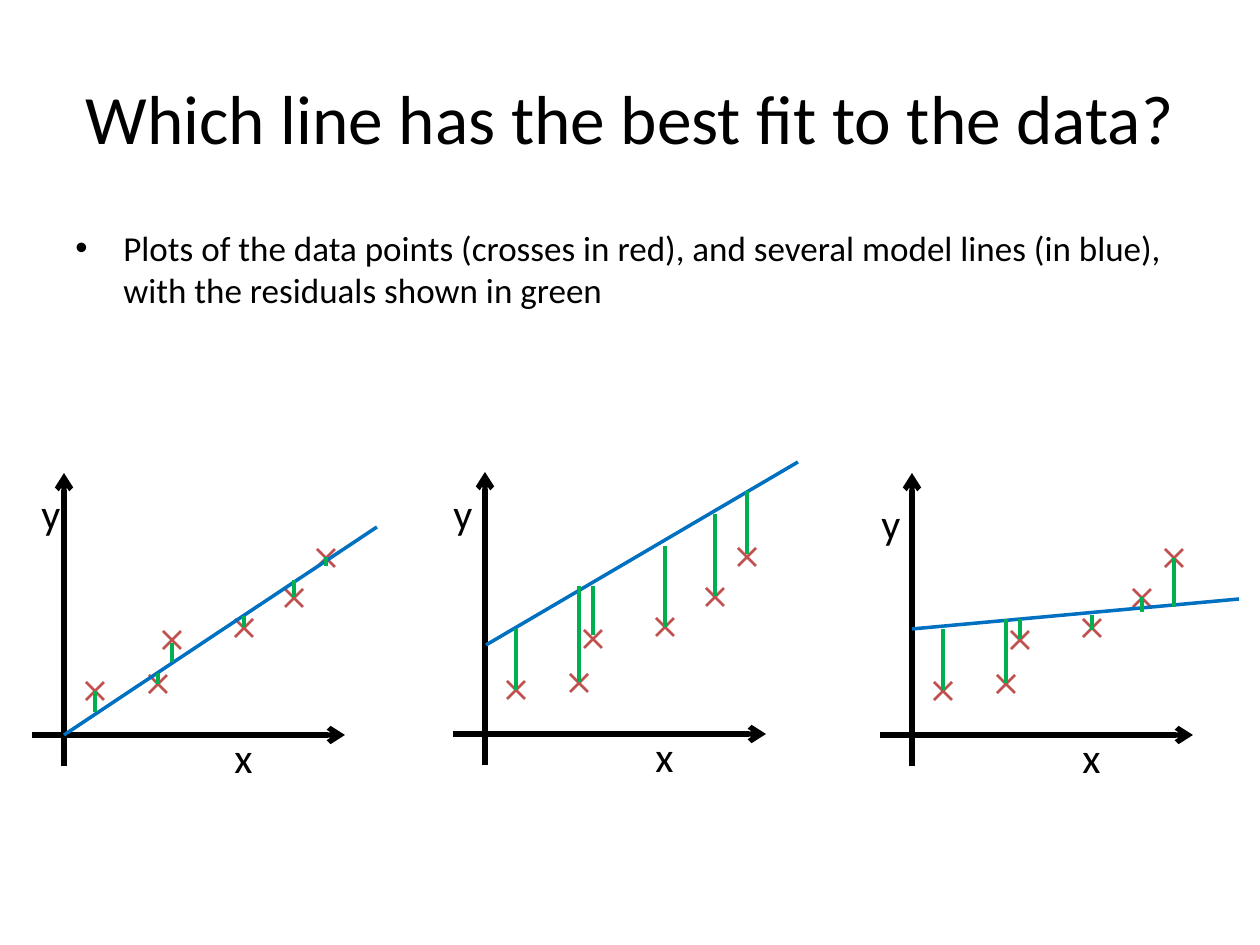
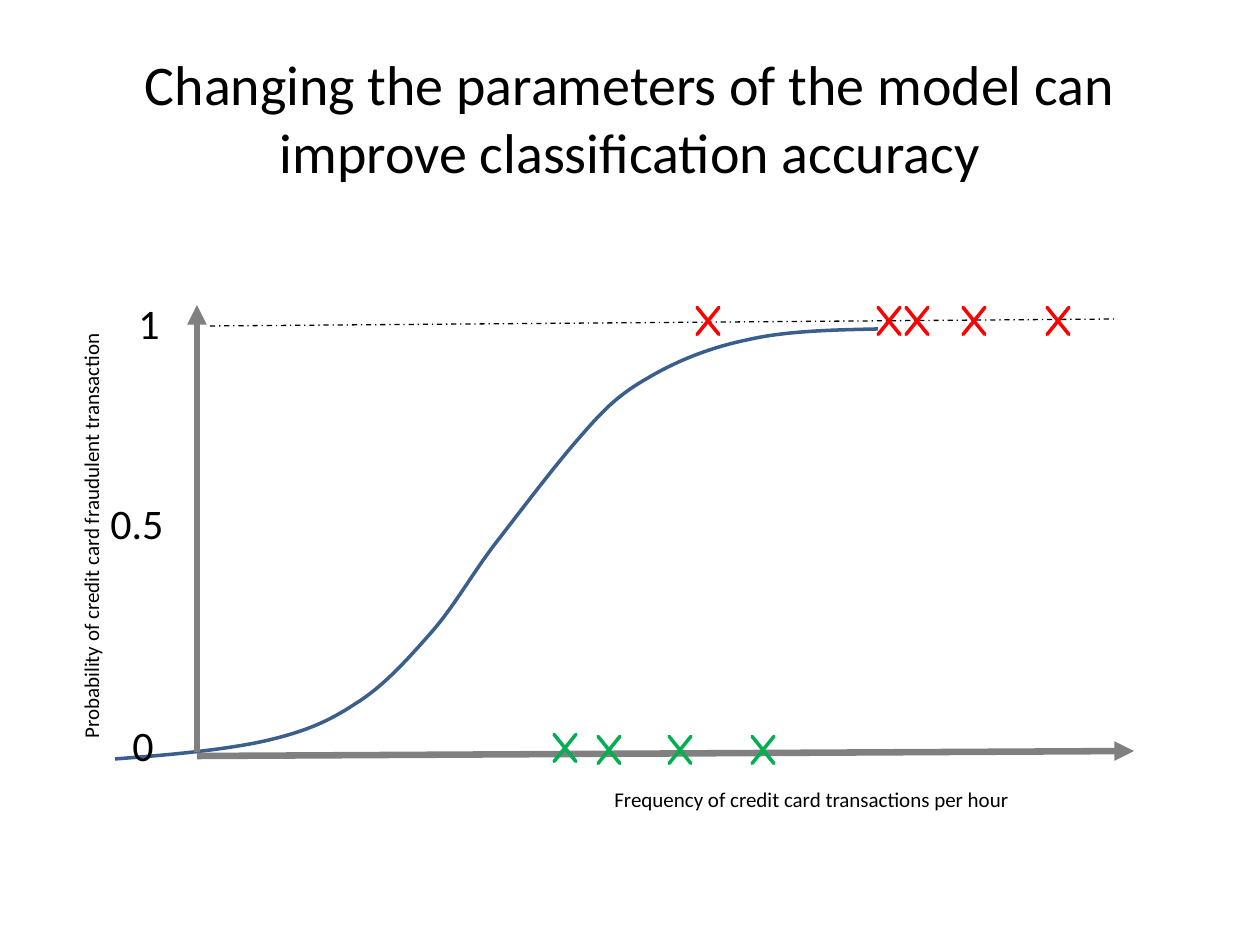
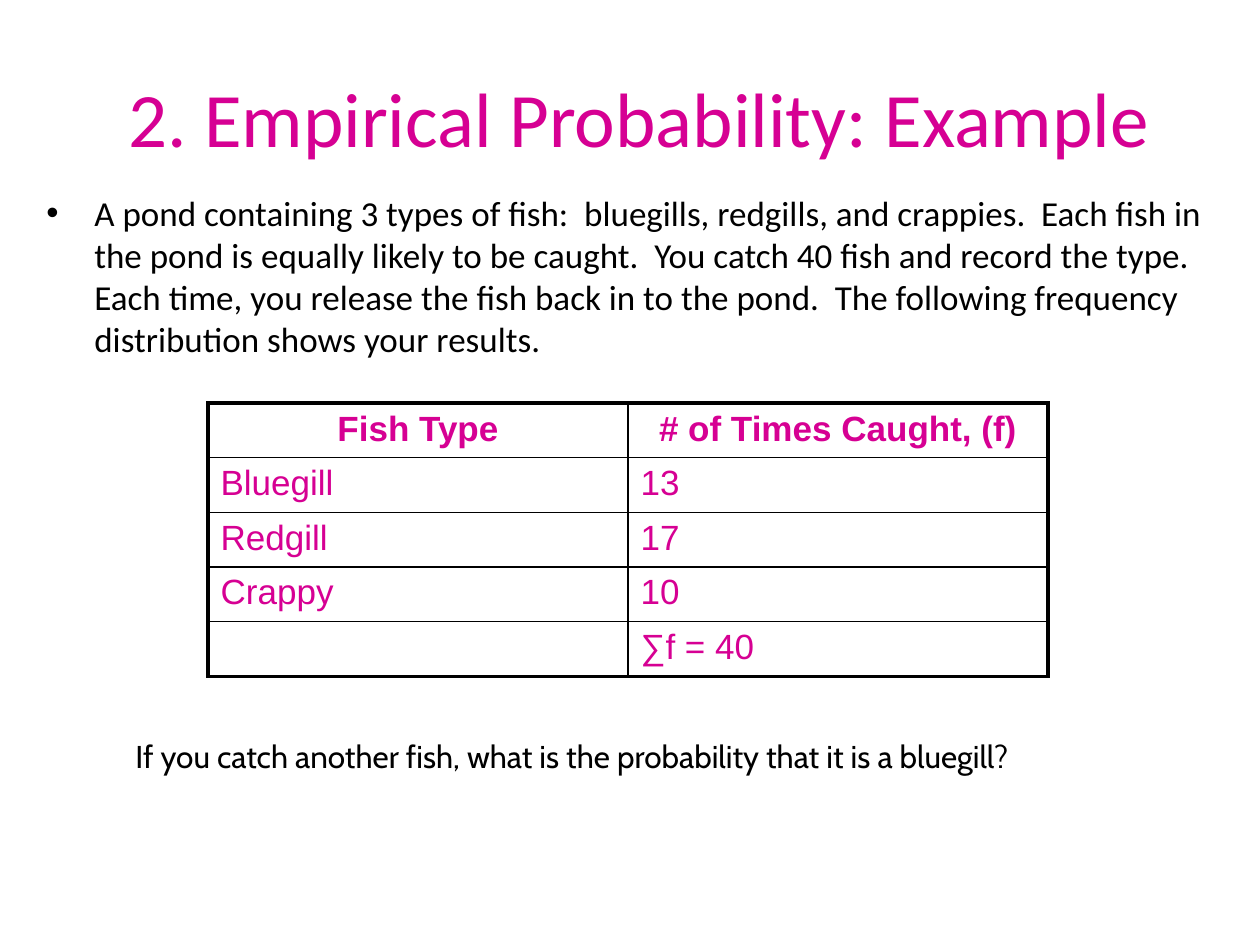
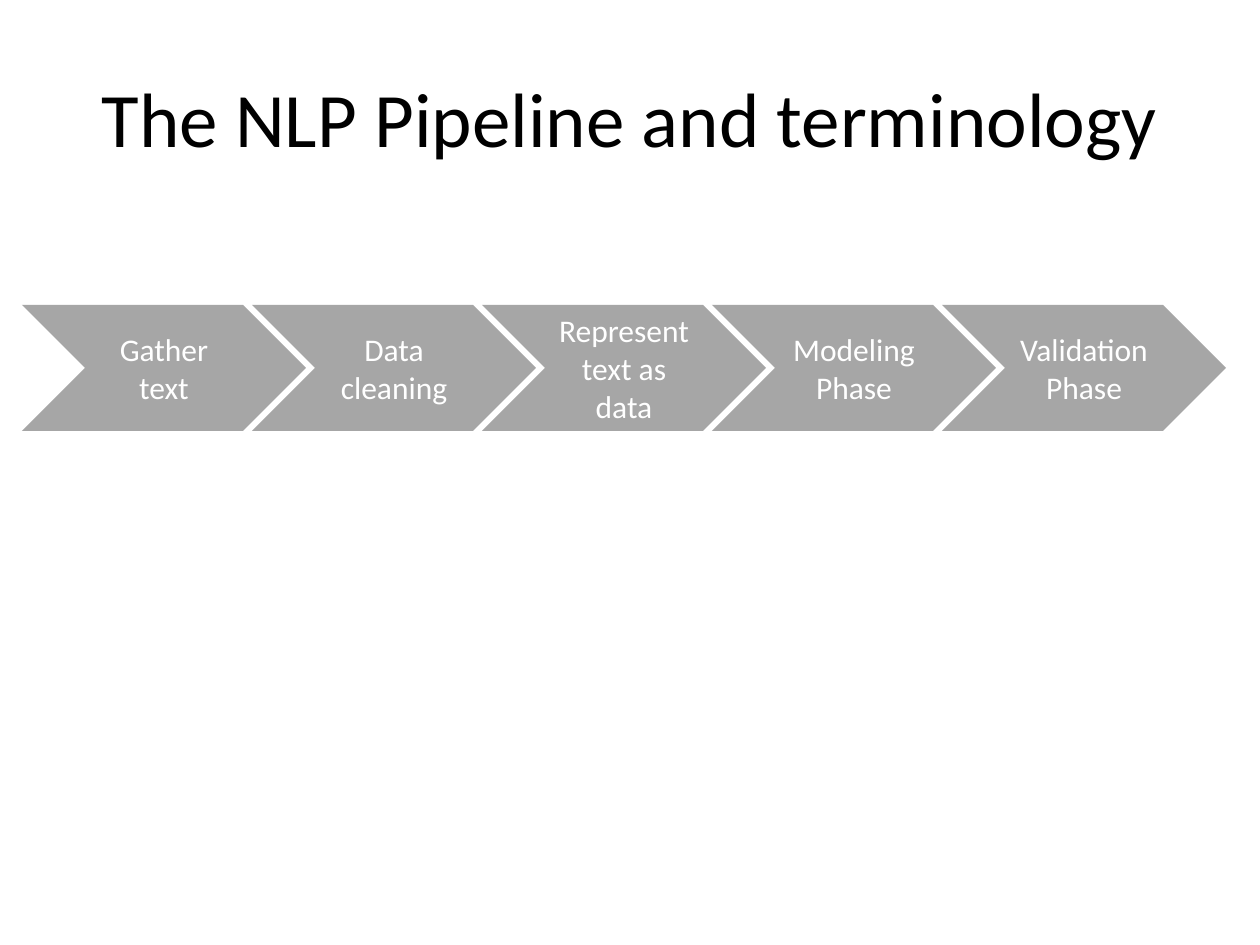
from dataclasses import dataclass

from lxml import etree
from pptx import Presentation
from pptx import util as u
from pptx.dml.color import RGBColor
from pptx.enum import dml, shapes, text
from pptx.oxml import ns

EMU_PER_PX = 914400 / 126


@dataclass(frozen=True)
class Theme:
    ink: str = "000000"
    white: str = "FFFFFF"
    cross: str = "C0504D"
    model: str = "0070C0"
    residual: str = "00B050"
    fraud: str = "FF0000"
    genuine: str = "00B050"
    sigmoid: str = "3A5F8C"
    axis: str = "808080"
    accent: str = "D60093"
    step: str = "A6A6A6"
    font: str = "Calibri"
    table_font: str = "Arial"
    question_font: str = "Cabin"
    title: float = 44
    body: float = 20
    label: float = 24
    caption: float = 12
    small: float = 18


T = Theme()
TITLE_BOX = (63, 38, 1134, 158)
CENTER = text.PP_ALIGN.CENTER
MIDDLE = text.MSO_ANCHOR.MIDDLE

CROSSES = [(31, -44), (94, -51), (108, -95), (180, -107), (230, -137), (262, -177)]
FITS = [
    dict(origin=(64, 735), y_label=(-35, -254), model=(0, 0, 313, -208),
         residuals=[(-44, -23), (-62, -51), (-92, -73), (-119, -108), (-155, -138), (-178, -169)]),
    dict(origin=(485, 734), y_label=(-44, -253), model=(1, -89, 313, -272),
         residuals=[(-105, -44), (-148, -52), (-148, -99), (-188, -107), (-220, -138), (-243, -180)]),
    dict(origin=(912, 735), y_label=(-43, -244), model=(0, -106, 327, -136),
         residuals=[(-106, -45), (-116, -52), (-116, -96), (-120, -105), (-138, -123), (-177, -128)]),
]
SIGMOID = [
    (681, -427),
    (635, -426), (588, -425), (550, -416),
    (511, -408), (478, -394), (451, -378),
    (423, -362), (409, -349), (384, -320),
    (359, -292), (323, -244), (298, -212),
    (273, -179), (257, -149), (233, -122),
    (210, -96), (186, -69), (158, -52),
    (131, -34), (107, -24), (68, -15),
    (27, -6), (-27, -1), (-82, 3),
]
GENUINE = [(347, -34), (391, -32), (462, -32), (545, -32)]
FRAUD = [(left, -461) for left in (490, 671, 699, 756, 840)]
CATCHES = [
    ("Fish Type", "# of Times Caught, (f)"),
    ("Bluegill", "13"),
    ("Redgill", "17"),
    ("Crappy", "10"),
    ("", "∑f = 40"),
]
STEPS = ["Gather text", "Data cleaning", "Represent text as data", "Modeling Phase", "Validation Phase"]


def px(length):
    return u.Emu(round(length * EMU_PER_PX))


def place(box):
    return [px(length) for length in box]


def rgb(color):
    return RGBColor.from_string(color)


def child(parent, tag, **attributes):
    return etree.SubElement(parent, ns.qn(tag), attributes)


def write(frame, words, size=T.body, color=T.ink, font=T.font, bold=False,
          align=None, anchor=None, wrap=True, bullet=False):
    frame.word_wrap = wrap
    if anchor is not None:
        frame.vertical_anchor = anchor
    paragraph = frame.paragraphs[0]
    if align is not None:
        paragraph.alignment = align
    if bullet:
        properties = paragraph._p.get_or_add_pPr()
        properties.set("marL", str(px(48)))
        properties.set("indent", str(px(-48)))
        child(properties, "a:buFont", typeface="Arial")
        child(properties, "a:buChar", char="•")
    run = paragraph.add_run()
    run.text = words
    run.font.size = u.Pt(size)
    run.font.name = font
    run.font.bold = bold
    run.font.color.rgb = rgb(color)


def label(slide, box, words, turn=0, **style):
    holder = slide.shapes.add_textbox(*place(box))
    holder.rotation = turn
    write(holder.text_frame, words, **style)


def title(slide, words, box=TITLE_BOX, **style):
    label(slide, box, words, **{"size": T.title, "align": CENTER, "anchor": MIDDLE, **style})


def line(slide, origin, ends, color, width, arrow=None, dash=None):
    left, top = origin
    x1, y1, x2, y2 = ends
    stroke = slide.shapes.add_connector(
        shapes.MSO_CONNECTOR.STRAIGHT,
        *place((left + x1, top + y1, left + x2, top + y2)))
    stroke.line.color.rgb = rgb(color)
    stroke.line.width = u.Pt(width)
    if dash is not None:
        stroke.line.dash_style = dash
    if arrow:
        child(stroke.line._get_or_add_ln(), "a:tailEnd", type=arrow)
    child(stroke._element.spPr, "a:effectLst")


def preset(slide, kind, box, color, outline=None):
    figure = slide.shapes.add_shape(kind, *place(box))
    figure.shadow.inherit = False
    figure.fill.solid()
    figure.fill.fore_color.rgb = rgb(color)
    if outline:
        figure.line.color.rgb = rgb(color)
        figure.line.width = u.Pt(outline)
    else:
        figure.line.fill.background()
    return figure


def curve(slide, origin, points, color, width):
    left, top = origin
    corners = [(left + x, top + y) for x, y in points]
    builder = slide.shapes.build_freeform(*corners[0], scale=EMU_PER_PX)
    builder.add_line_segments(corners[1:], close=False)
    bend = builder.convert_to_shape()
    bend.shadow.inherit = False
    bend.fill.background()
    bend.line.color.rgb = rgb(color)
    bend.line.width = u.Pt(width)
    segments = bend._element.findall(".//" + ns.qn("a:lnTo"))
    for start in range(0, len(segments), 3):
        bezier = child(segments[start].getparent(), "a:cubicBezTo")
        for segment in segments[start:start + 3]:
            bezier.append(segment[0])
            segment.getparent().remove(segment)


def fit_plot(slide, origin, y_label, model, residuals):
    left, top = origin
    for axis in ((0, 31, 0, -262), (-32, 0, 281, 0)):
        line(slide, origin, axis, T.ink, 3, arrow="arrow")
    for name, (x, y) in (("y", y_label), ("x", (158, -10))):
        label(slide, (left + x, top + y, 44, 63), name, size=T.label, wrap=False)
    for x, y in CROSSES:
        for rise in (9, -9):
            line(slide, origin, (x - 9, y + rise, x + 9, y - rise), T.cross, 1.5)
    line(slide, origin, model, T.model, 2)
    for (x, _), (start, end) in zip(CROSSES, residuals):
        line(slide, origin, (x, start, x, end), T.residual, 2.75)


def probability_plot(slide, origin):
    left, top = origin
    curve(slide, origin, SIGMOID, T.sigmoid, 2)
    for axis in ((0, -4, 0, -451), (0, 0, 937, -5)):
        line(slide, origin, axis, T.axis, 3.75, arrow="triangle")
    line(slide, origin, (13, -430, 921, -437), T.ink, 0.75, dash=dml.MSO_LINE.DASH_DOT)
    for transactions, color in ((GENUINE, T.genuine), (FRAUD, T.fraud)):
        for x, y in transactions:
            cross = preset(slide, shapes.MSO_SHAPE.MATH_MULTIPLY,
                           (left + x, top + y, 42, 52), color, outline=2)
            cross.adjustments[0] = 0
    for mark, x, y, width in (("1", -71, -465, 69), ("0.5", -99, -265, 98), ("0", -77, -43, 69)):
        label(slide, (left + x, top + y, width, 63), mark, size=T.label)
    label(slide, (left - 344, top - 262, 476, 38),
          "Probability of credit card fraudulent transaction", turn=270, size=T.caption)
    label(slide, (left + 405, top + 24, 476, 38),
          "Frequency of credit card transactions per hour", size=T.caption)


def border(cell, side, width):
    edge = child(cell._tc.get_or_add_tcPr(), f"a:ln{side}", w=str(u.Pt(width)))
    child(child(edge, "a:solidFill"), "a:srgbClr", val=T.ink)


def catch_table(slide, box):
    last_row, last_column = len(CATCHES) - 1, len(CATCHES[0]) - 1
    catches = slide.shapes.add_table(last_row + 1, last_column + 1, *place(box)).table
    catches.first_row = catches.horz_banding = False
    for r, record in enumerate(CATCHES):
        for c, entry in enumerate(record):
            cell = catches.cell(r, c)
            outer = {"L": c == 0, "R": c == last_column, "T": r == 0, "B": r == last_row}
            for side, is_outer in outer.items():
                border(cell, side, 2.25 if is_outer else 1)
            cell.fill.background()
            if entry:
                write(cell.text_frame, entry, color=T.accent, font=T.table_font,
                      bold=r == 0, align=CENTER if r == 0 else None)


def pipeline(slide, box, pitch):
    left, top, width, height = box
    for index, step in enumerate(STEPS):
        chevron = preset(slide, shapes.MSO_SHAPE.CHEVRON,
                         (left + index * pitch, top, width, height), T.step)
        frame = chevron.text_frame
        frame.margin_left = frame.margin_right = px(10)
        frame.margin_top = frame.margin_bottom = 0
        write(frame, step, size=T.small, color=T.white, align=CENTER, anchor=MIDDLE)


def best_fit_slide(slide):
    title(slide, "Which line has the best fit to the data?", size=39.6)
    label(slide, (63, 220, 1134, 624),
          "Plots of the data points (crosses in red), and several model lines (in blue), "
          "with the residuals shown in green", bullet=True)
    for fit in FITS:
        fit_plot(slide, **fit)


def classification_slide(slide):
    title(slide, "Changing the parameters of the model can improve classification accuracy", size=32)
    probability_plot(slide, (197, 756))


def fish_slide(slide):
    title(slide, "2. Empirical Probability: Example", box=(44, 38, 1191, 158), color=T.accent)
    label(slide, (34, 185, 1211, 277),
          "A pond containing 3 types of fish:  bluegills, redgills, and crappies.  "
          "Each fish in the pond is equally likely to be caught.  You catch 40 fish and "
          "record the type.  Each time, you release the fish back in to the pond.  "
          "The following frequency distribution shows your results.", bullet=True)
    catch_table(slide, (208, 403, 840, 260))
    label(slide, (123, 731, 1081, 50),
          "If you catch another fish, what is the probability that it is a bluegill?",
          size=T.small, font=T.question_font)


def pipeline_slide(slide):
    title(slide, "The NLP Pipeline and terminology")
    pipeline(slide, (22, 305, 284, 126), pitch=230)


def main():
    deck = Presentation()
    deck.slide_width, deck.slide_height = px(1260), px(945)
    for build in (best_fit_slide, classification_slide, fish_slide, pipeline_slide):
        build(deck.slides.add_slide(deck.slide_layouts[6]))
    deck.save("out.pptx")


if __name__ == "__main__":
    main()
